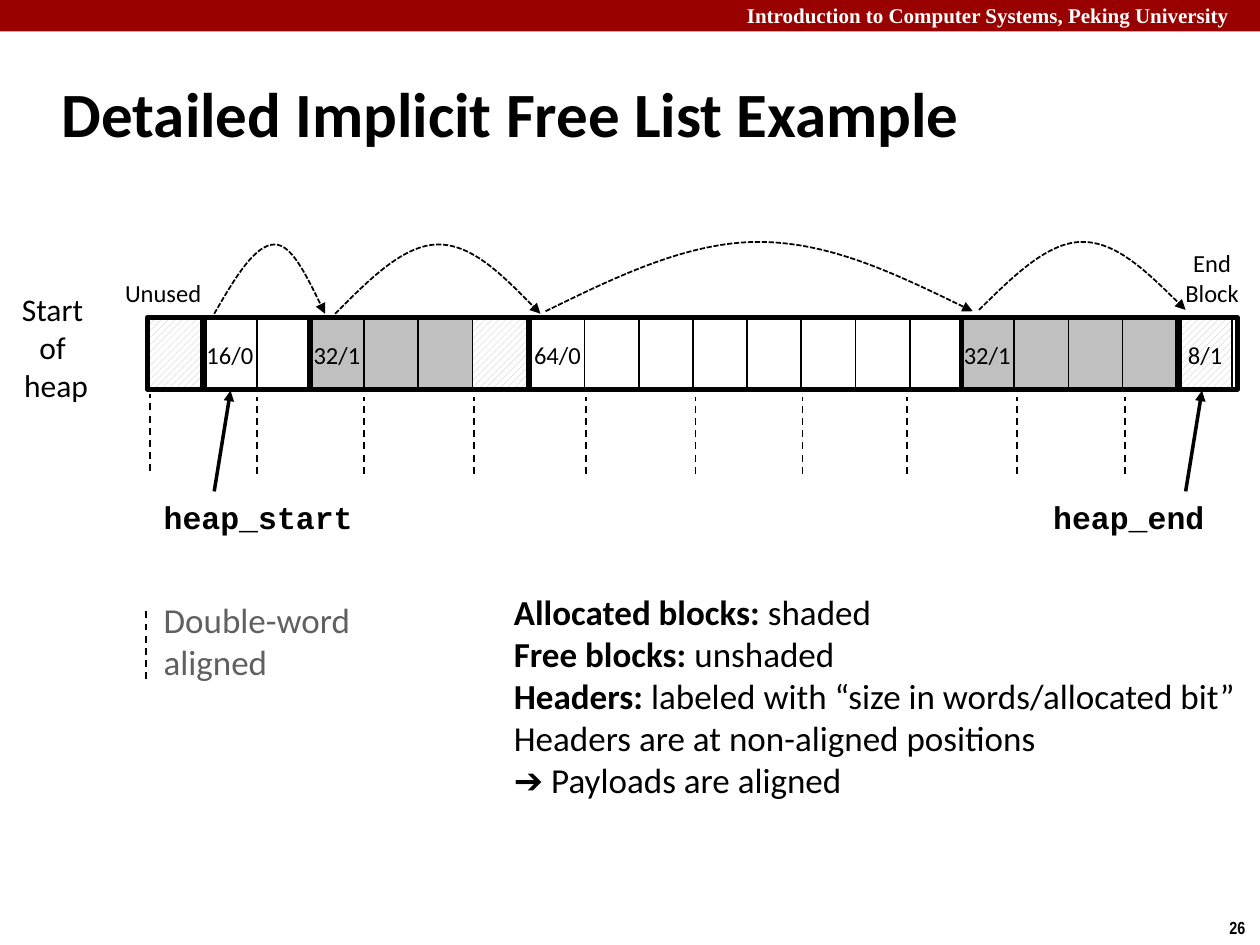
from lxml import etree
from pptx import Presentation
from pptx.dml.color import RGBColor
from pptx.enum.dml import MSO_LINE, MSO_PATTERN
from pptx.enum.shapes import MSO_CONNECTOR, MSO_SHAPE
from pptx.enum.text import MSO_ANCHOR, MSO_AUTO_SIZE, PP_ALIGN
from pptx.oxml.ns import qn
from pptx.util import Inches, Pt

RECTANGLE, STRAIGHT = MSO_SHAPE.RECTANGLE, MSO_CONNECTOR.STRAIGHT
LEFT, CENTER = PP_ALIGN.LEFT, PP_ALIGN.CENTER
TOP, MIDDLE = MSO_ANCHOR.TOP, MSO_ANCHOR.MIDDLE
DASH, SHORT_DASH = MSO_LINE.DASH, MSO_LINE.SQUARE_DOT
HATCH = MSO_PATTERN.WIDE_UPWARD_DIAGONAL
FIT = MSO_AUTO_SIZE.SHAPE_TO_FIT_TEXT

COLORS = {"black": "000000", "white": "FFFFFF", "banner": "990000",
          "shaded": "C0C0C0", "legend": "606060"}

TITLE = "Detailed Implicit Free List Example"
WORD_WIDTH, WORD_TOP, WORD_HEIGHT = 0.43, 2.53, 0.57

# first word, fills of the words, header label, frame left, frame width
BLOCKS = [
    (1.18, ["hatch"], "", 1.17, 0.45),
    (1.61, ["white"] * 2, "16/0", 1.61, 0.85),
    (2.46, ["shaded"] * 3 + ["hatch"], "32/1", 2.46, 1.74),
    (4.21, ["white"] * 8, "64/0", 4.2, 3.43),
    (7.62, ["shaded"] * 4, "32/1", 7.63, 1.73),
    (9.35, ["hatch"], "8/1", 9.35, 0.47),
]
# start, apex and end across, then foot and apex down
JUMPS = [
    (1.7, 2.18, 2.58, 2.49, 1.94),
    (2.66, 3.48, 4.29, 2.49, 1.94),
    (4.33, 6.02, 7.72, 2.47, 1.92),
    (7.77, 8.59, 9.41, 2.46, 1.92),
]
ALIGNED_WORDS = [2.04, 2.89, 3.76, 4.65, 5.52, 6.37, 7.2, 8.07, 8.93]
ALIGNMENT_LINES = [(x, 3.76, x, 3.15) for x in ALIGNED_WORDS]
ALIGNMENT_LINES += [(1.19, 3.74, 1.19, 3.13), (1.16, 5.39, 1.16, 4.84)]
POINTERS = [(1.7, 3.9, 1.83, 3.1), (9.41, 3.9, 9.54, 3.1)]

# Each line is a list of (words, bold) spans
NOTES = [
    [("Allocated blocks: ", True), ("shaded", False)],
    [("Free blocks: ", True), ("unshaded", False)],
    [("Headers: ", True), ("labeled with “size in words/allocated bit”", False)],
    [("Headers are at non-aligned positions", False)],
    [("➔ Payloads are aligned", False)],
]
CODE = {"name": "Courier New", "size": Pt(18), "bold": True}
SMALL = {"size": Pt(14)}
# place, lines, font, alignment, anchor, wrap
LABELS = [
    ((5.83, -0.03, 4.24, 0.3), ["Introduction to Computer Systems, Peking University"],
     {"name": "Times New Roman", "size": Pt(12), "bold": True, "color": "white"},
     LEFT, TOP, True),
    ((9.66, 7.23, 0.34, 0.27), ["26"],
     {"name": "Arial Narrow", "size": Pt(10), "bold": True}, LEFT, TOP, False),
    ((0.07, 2.25, 0.75, 1.01), ["Start ", "of ", "heap"],
     {"size": Pt(18)}, CENTER, MIDDLE, False),
    ((0.89, 2.15, 0.81, 0.34), ["Unused"], SMALL, CENTER, MIDDLE, False),
    ((9.3, 1.92, 0.64, 0.57), ["End", "Block"], SMALL, CENTER, MIDDLE, False),
    ((1.2, 3.9, 1.71, 0.4), ["heap_start"], CODE, LEFT, TOP, False),
    ((8.26, 3.9, 1.41, 0.4), ["heap_end"], CODE, LEFT, TOP, False),
    ((1.2, 4.7, 2.04, 0.77), ["Double-word", "aligned"],
     {"size": Pt(20), "color": "legend"}, LEFT, MIDDLE, True),
    ((3.98, 4.64, 5.98, 1.78), NOTES, {"size": Pt(20)}, LEFT, TOP, False),
]


def rgb(name):
    return RGBColor.from_string(COLORS[name])


def write(shape, lines, style, alignment=LEFT, anchor=TOP, wrap=False):
    """Fill a shape with lines, each a string or a list of (words, bold)."""
    frame = shape.text_frame
    frame.word_wrap, frame.vertical_anchor = wrap, anchor
    font_values = {"name": "Calibri", "bold": False} | style
    color = rgb(font_values.pop("color", "black"))
    for index, line in enumerate(lines):
        para = frame.add_paragraph() if index else frame.paragraphs[0]
        para.alignment = alignment
        spans = [(line, font_values["bold"])] if isinstance(line, str) else line
        for words, bold in spans:
            span = para.add_run()
            span.text = words
            for name, value in (font_values | {"bold": bold}).items():
                setattr(span.font, name, value)
            span.font.color.rgb = color


def draw_line(shape, width, dash=None, arrow=False):
    shape.line.color.rgb = rgb("black")
    shape.line.width = Pt(width)
    if dash:
        shape.line.dash_style = dash
    if arrow:
        etree.SubElement(shape.line._get_or_add_ln(), qn("a:tailEnd"), type="triangle")


def add_rectangle(page, place, fill, line_width=0):
    box = page.shapes.add_shape(RECTANGLE, *map(Inches, place))
    box.shadow.inherit = False
    if fill == "hatch":
        box.fill.patterned()
        box.fill.pattern = HATCH
        box.fill.fore_color.rgb = rgb("shaded")
        box.fill.back_color.rgb = rgb("white")
    elif fill:
        box.fill.solid()
        box.fill.fore_color.rgb = rgb(fill)
    else:
        box.fill.background()
    if line_width:
        draw_line(box, line_width)
    else:
        box.line.fill.background()
    return box


def add_line(page, ends, width, **line_format):
    line = page.shapes.add_connector(STRAIGHT, *map(Inches, ends))
    draw_line(line, width, **line_format)
    etree.SubElement(line._element.spPr, qn("a:effectLst"))


def add_jump(page, start, apex, end, foot, top):
    """Draw an arched arrow made of two Bezier curves that meet at the apex."""
    middle = (foot + top) / 2
    rise, fall = (apex - start) / 3, (end - apex) / 3
    points = [(start + rise, middle), (apex - rise, top), (apex, top),
              (apex + fall, top), (end - fall, middle), (end, foot)]
    builder = page.shapes.build_freeform(Inches(start), Inches(foot))
    builder.add_line_segments([(Inches(x), Inches(y)) for x, y in points], close=False)
    jump = builder.convert_to_shape()
    segments = list(jump._element.iter(qn("a:lnTo")))
    outline = segments[0].getparent()
    for first in range(0, len(segments), 3):
        curve = etree.SubElement(outline, qn("a:cubicBezTo"))
        for segment in segments[first:first + 3]:
            curve.append(segment[0])
            outline.remove(segment)
    jump.shadow.inherit = False
    jump.fill.background()
    draw_line(jump, 1, SHORT_DASH, arrow=True)


def add_heap(page):
    for left, fills, label, _, _ in BLOCKS:
        for index, fill in enumerate(fills):
            place = (left + index * WORD_WIDTH, WORD_TOP, WORD_WIDTH, WORD_HEIGHT)
            word = add_rectangle(page, place, fill, 1)
            if label and index == 0:
                write(word, [label], SMALL, CENTER, MIDDLE)
    for _, _, _, left, width in BLOCKS:
        add_rectangle(page, (left, 2.52, width, WORD_HEIGHT), None, 3)


def main():
    deck = Presentation()
    deck.slide_width, deck.slide_height = Inches(10), Inches(7.5)
    page = deck.slides.add_slide(deck.slide_layouts[5])
    add_rectangle(page, (0, 0, 10, 0.25), "banner")

    title = page.shapes.title
    title.left, title.top, title.width, title.height = map(Inches, (0.39, 0.48, 8.3, 0.83))
    write(title, [TITLE], {"size": Pt(36), "bold": True}, LEFT, MIDDLE, True)

    add_heap(page)
    for jump in JUMPS:
        add_jump(page, *jump)
    for ends in ALIGNMENT_LINES:
        add_line(page, ends, 1, dash=DASH)
    for ends in POINTERS:
        add_line(page, ends, 2, arrow=True)
    for place, *text in LABELS:
        box = page.shapes.add_textbox(*map(Inches, place))
        write(box, *text)
        box.text_frame.auto_size = FIT
    deck.save("out.pptx")


if __name__ == "__main__":
    main()
